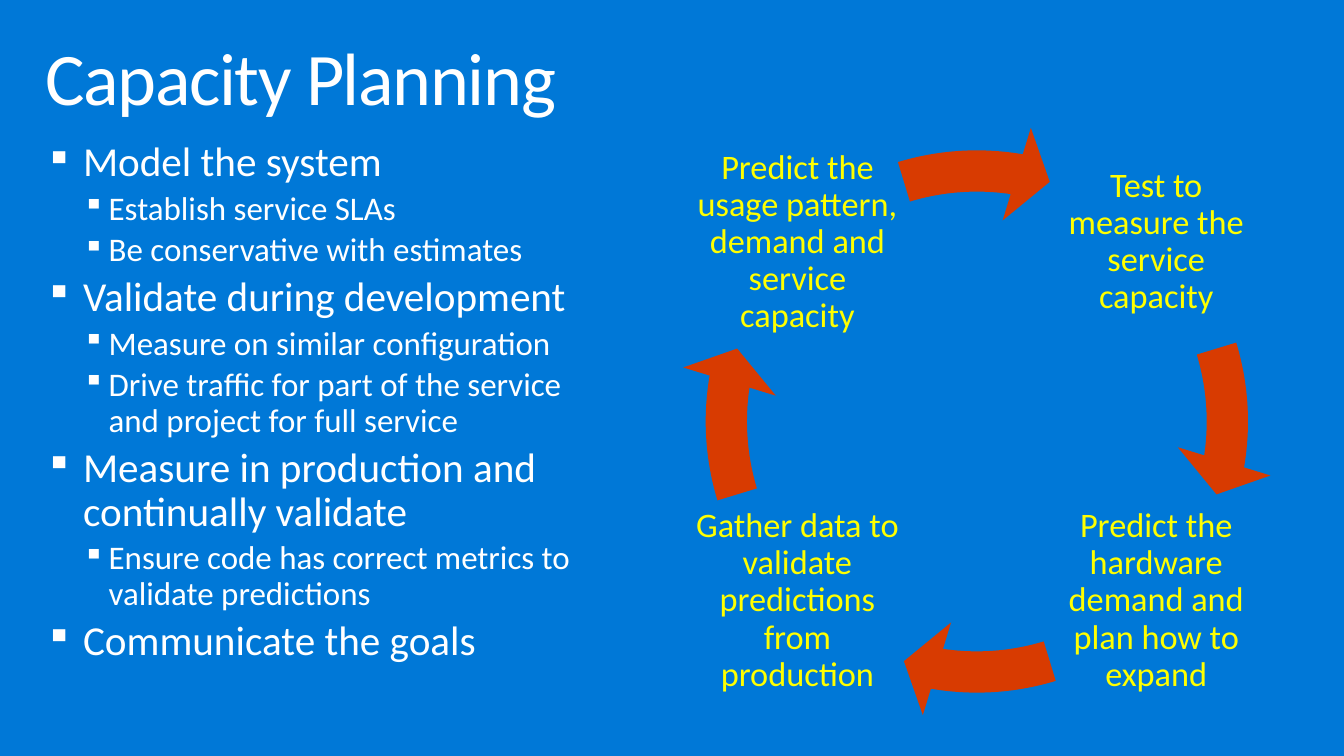
from lxml.etree import SubElement
from pptx import Presentation
from pptx.dml.color import RGBColor
from pptx.enum.shapes import MSO_SHAPE as SHAPE
from pptx.enum.text import MSO_ANCHOR as ANCHOR, PP_ALIGN as ALIGN
from pptx.oxml.ns import qn
from pptx.util import Pt

COLORS = {"background": "0078D7", "text": "FFFFFF", "step": "FFFF00", "arrow": "D83B01"}

# Outline: (level, text)
OUTLINE = [
    (0, "Model the system"),
    (1, "Establish service SLAs"),
    (1, "Be conservative with estimates"),
    (0, "Validate during development"),
    (1, "Measure on similar configuration"),
    (1, "Drive traffic for part of the service and project for full service"),
    (0, "Measure in production and continually validate"),
    (1, "Ensure code has correct metrics to validate predictions"),
    (0, "Communicate the goals"),
]
# Per outline level: font size, left margin, hanging indent, space before
LEVELS = [(30, 27.4, 27.4, 5.4), (24, 46.1, 18.7, 4.3)]

# Steps clockwise from the top right: (column side, row side, text)
STEPS = [
    (1, -1, "Test to measure the service capacity"),
    (1, 1, "Predict the hardware demand and plan how to expand"),
    (-1, 1, "Gather data to validate predictions from production"),
    (-1, -1, "Predict the usage pattern, demand and service capacity"),
]
CENTER_X, CENTER_Y = 711.7, 307.1
STEP_OFFSET, STEP_SIZE, RING_SIZE = 130.7, 154.1, 435.6
QUARTER, FULL_TURN = 54, 216  # angle adjustments, 0.6 per degree


class SlideBuilder:
    def __init__(self, s, font="Calibri"):
        self.s, self.font = s, font

    def color(self, name):
        return RGBColor.from_string(COLORS[name])

    def background(self, name):
        fill = self.s.background.fill
        fill.solid()
        fill.fore_color.rgb = self.color(name)

    def textbox(self, shapes, x, y, w, h, inset=(11.5, 7.2), anchor=ANCHOR.TOP):
        tf = shapes.add_textbox(Pt(x), Pt(y), Pt(w), Pt(h)).text_frame
        tf.word_wrap = True
        tf.vertical_anchor = anchor
        tf.margin_left = tf.margin_right = Pt(inset[0])
        tf.margin_top = tf.margin_bottom = Pt(inset[1])
        return tf

    def add_text(self, p, text, size, color="text", align=ALIGN.LEFT):
        p.alignment = align
        p.line_spacing = 0.9
        r = p.add_run()
        r.text = text
        r.font.name = self.font
        r.font.size = Pt(size)
        r.font.color.rgb = self.color(color)
        return r

    def title(self, text, x, y, w, h):
        tf = self.textbox(self.s.shapes, x, y, w, h)
        r = self.add_text(tf.paragraphs[0], text, 54)
        r._r.get_or_add_rPr().set("spc", "-100")

    def bullet(self, p, margin, hang):
        pPr = p._p.get_or_add_pPr()
        pPr.set("marL", str(Pt(margin)))
        pPr.set("indent", str(-Pt(hang)))
        clr = SubElement(pPr, qn("a:buClr"))
        SubElement(clr, qn("a:srgbClr"), val=COLORS["text"])
        SubElement(pPr, qn("a:buSzPct"), val="90000")
        SubElement(pPr, qn("a:buChar"), char="▪")

    def outline(self, items, x, y, w, h):
        tf = self.textbox(self.s.shapes, x, y, w, h)
        for i, (level, text) in enumerate(items):
            p = tf.add_paragraph() if i else tf.paragraphs[0]
            size, margin, hang, before = LEVELS[level]
            p.level = level
            p.space_before = Pt(before)
            self.add_text(p, text, size)
            self.bullet(p, margin, hang)

    def step(self, shapes, text, cx, cy, size):
        tf = self.textbox(shapes, cx - size / 2, cy - size / 2, size, size,
                          (2.2, 2.2), ANCHOR.MIDDLE)
        self.add_text(tf.paragraphs[0], text, 25, "step", ALIGN.CENTER)

    def arrow(self, shapes, cx, cy, size, start, end):
        sp = shapes.add_shape(SHAPE.CIRCULAR_ARROW, Pt(cx - size / 2),
                              Pt(cy - size / 2), Pt(size), Pt(size))
        for i, value in enumerate((0.069, 4.652, end, start, 0.081)):
            sp.adjustments[i] = value
        sp.shadow.inherit = False
        sp.fill.solid()
        sp.fill.fore_color.rgb = self.color("arrow")
        sp.line.fill.background()

    def cycle(self, steps):
        shapes = self.s.shapes.add_group_shape().shapes
        for i, (column, row, text) in enumerate(steps):
            self.step(shapes, text, CENTER_X + column * STEP_OFFSET,
                      CENTER_Y + row * STEP_OFFSET, STEP_SIZE)
            turn = i * QUARTER
            self.arrow(shapes, CENTER_X, CENTER_Y, RING_SIZE,
                       (205.85 + turn) % FULL_TURN, 5.5 + turn)


def main():
    prs = Presentation()
    prs.slide_width, prs.slide_height = Pt(979.2), Pt(550.8)
    b = SlideBuilder(prs.slides.add_slide(prs.slide_layouts[6]))
    b.background("background")

    # Bullets on the left, under the title
    b.outline(OUTLINE, 21.6, 95.8, 419.8, 437.8)
    b.title("Capacity Planning", 21.6, 23, 936, 72)

    # Planning cycle on the right
    b.cycle(STEPS)

    prs.save("out.pptx")


if __name__ == "__main__":
    main()
